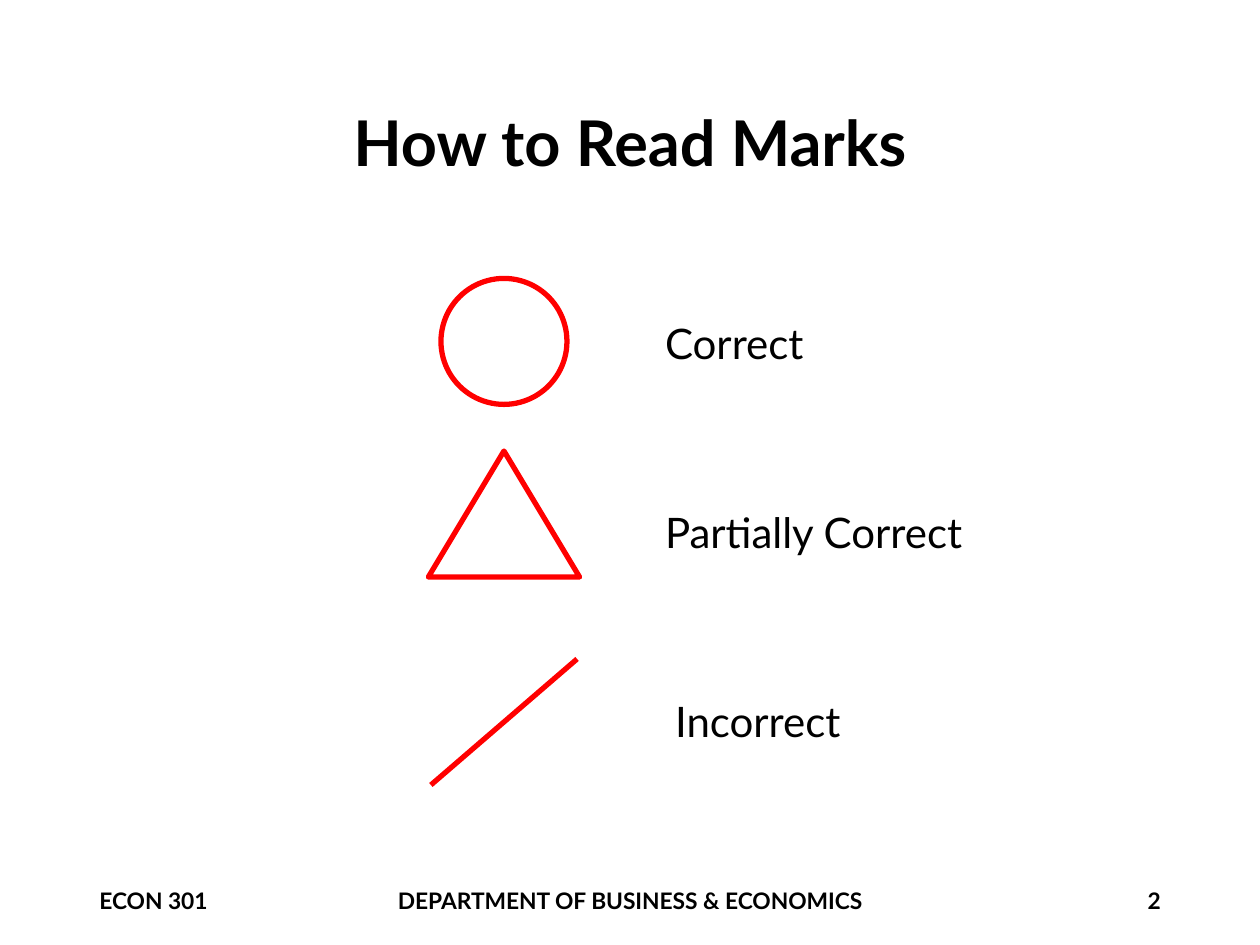
"""Build the slide that explains the marking symbols."""
from lxml.etree import SubElement
from pptx import Presentation
from pptx.dml.color import RGBColor
from pptx.enum.shapes import MSO_CONNECTOR, MSO_SHAPE
from pptx.enum.text import MSO_ANCHOR, PP_ALIGN
from pptx.oxml.ns import qn
from pptx.util import Inches, Pt

BLACK = RGBColor(0x00, 0x00, 0x00)
RED = RGBColor(0xFF, 0x00, 0x00)
FONT = "Lato"
LABEL_TOP, LABEL_PITCH, LABEL_HEIGHT = 2.47, 1.5, 0.5
FOOTER_TOP, FOOTER_HEIGHT = 6.95, 0.4


def add_text(slide, text, box, size, bold=False, alignment=PP_ALIGN.LEFT):
    shape = slide.shapes.add_textbox(*map(Inches, box))
    text_frame = shape.text_frame
    text_frame.word_wrap = True
    text_frame.vertical_anchor = MSO_ANCHOR.MIDDLE
    text_frame.text = text
    paragraph = text_frame.paragraphs[0]
    paragraph.alignment = alignment
    font = paragraph.runs[0].font
    font.name = FONT
    font.size = Pt(size)
    font.bold = bold
    font.color.rgb = BLACK


def style_line(line):
    line.color.rgb = RED
    line.width = Pt(3)


def add_outline(slide, kind, box):
    shape = slide.shapes.add_shape(kind, *map(Inches, box))
    shape.shadow.inherit = False
    shape.fill.background()
    style_line(shape.line)


def add_stroke(slide, start, end):
    connector = slide.shapes.add_connector(
        MSO_CONNECTOR.STRAIGHT, *map(Inches, start + end)
    )
    style_line(connector.line)
    SubElement(connector._element.spPr, qn("a:effectLst"))


def add_labels(slide):
    labels = [("Correct", 5.18), ("Partially Correct", 5.18), ("Incorrect", 5.26)]
    for row, (text, left) in enumerate(labels):
        top = LABEL_TOP + row * LABEL_PITCH
        add_text(slide, text, (left, top, 4, LABEL_HEIGHT), 24)


def add_footer(slide):
    footers = [
        ("ECON 301", 0.69, 2.25, PP_ALIGN.LEFT),
        ("DEPARTMENT OF BUSINESS & ECONOMICS", 1.85, 6.3, PP_ALIGN.CENTER),
        ("2", 7.06, 2.25, PP_ALIGN.RIGHT),
    ]
    for text, left, width, alignment in footers:
        box = (left, FOOTER_TOP, width, FOOTER_HEIGHT)
        add_text(slide, text, box, 13, True, alignment)


def main():
    presentation = Presentation()
    presentation.slide_width = Inches(10)
    presentation.slide_height = Inches(7.5)
    slide = presentation.slides.add_slide(presentation.slide_layouts[6])
    title_box = (0.69, 0.4, 8.62, 1.45)
    add_text(slide, "How to Read Marks", title_box, 36, True, PP_ALIGN.CENTER)
    add_labels(slide)
    add_footer(slide)
    add_outline(slide, MSO_SHAPE.OVAL, (3.5, 2.21, 1, 1))
    add_outline(slide, MSO_SHAPE.ISOSCELES_TRIANGLE, (3.4, 3.58, 1.2, 1))
    add_stroke(slide, (3.42, 6.23), (4.58, 5.23))
    presentation.save("out.pptx")


if __name__ == "__main__":
    main()
